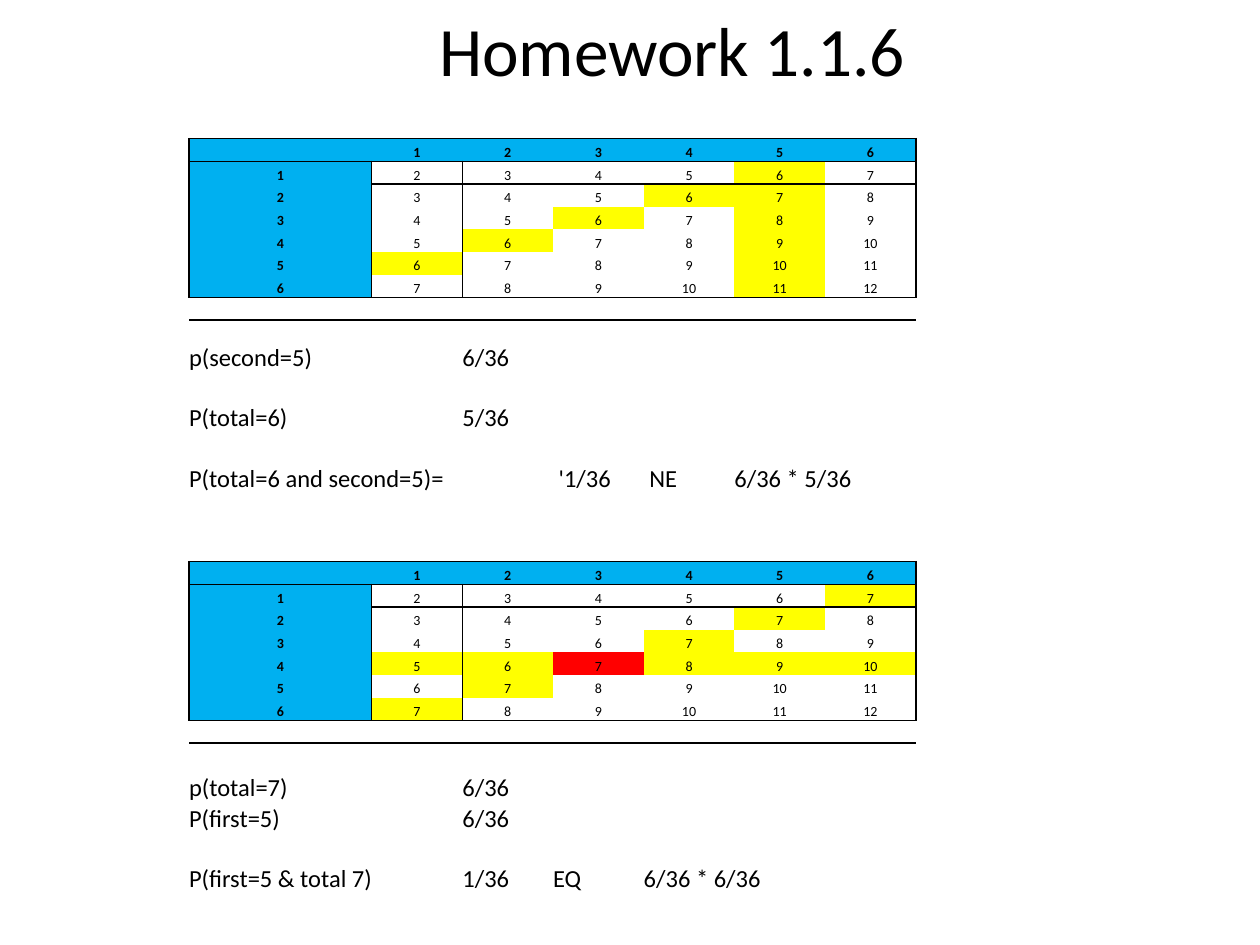
from dataclasses import dataclass
from typing import Optional

from lxml import etree
from pptx import Presentation
from pptx.dml.color import RGBColor
from pptx.enum.text import MSO_ANCHOR, PP_ALIGN
from pptx.oxml.ns import qn
from pptx.table import Table, _Cell
from pptx.util import Inches, Pt

CENTER, LEFT = PP_ALIGN.CENTER, PP_ALIGN.LEFT
MIDDLE, BOTTOM = MSO_ANCHOR.MIDDLE, MSO_ANCHOR.BOTTOM
COLORS = {"ink": "000000", "header": "00B0F0", "plain": "FFFFFF",
          "event": "FFFF00", "both": "FF0000"}
FONT = "Calibri"
NO_GRID_STYLE = "{2D5ABB26-0587-4C30-8999-92F81FD0307C}"
ROW_COUNT, FACES = 31, 6
COLUMN_WIDTHS = [1.45] + [0.72] * FACES
GRID_ROW, ANSWER_ROW = 0.18, 0.24


@dataclass
class DiceGrid:
    header_row: int
    total: int
    overlap: str
    first: Optional[int] = None
    second: Optional[int] = None

    def fill(self, first: int, second: int) -> str:
        if first == 0 or second == 0:
            return "header"
        hits_total = first + second == self.total
        hits_die = first == self.first or second == self.second
        if hits_total and hits_die:
            return self.overlap
        return "event" if hits_total or hits_die else "plain"


@dataclass
class Answer:
    row: int
    column: int
    text: str
    span: int = 1


DICE_GRIDS = [
    DiceGrid(1, total=6, overlap="event", second=5),
    DiceGrid(18, total=7, overlap="both", first=4),
]
ANSWERS = [
    Answer(10, 0, "p(second=5)", 2),
    Answer(10, 2, "6/36"),
    Answer(12, 0, "P(total=6)", 2),
    Answer(12, 2, "5/36"),
    Answer(14, 0, "P(total=6 and second=5)=", 3),
    Answer(14, 3, " '1/36 "),
    Answer(14, 4, " NE"),
    Answer(14, 5, "6/36 * 5/36", 2),
    Answer(27, 0, "p(total=7)", 2),
    Answer(27, 2, "6/36"),
    Answer(28, 0, "P(first=5)"),
    Answer(28, 2, "6/36"),
    Answer(30, 0, "P(first=5 & total 7)", 2),
    Answer(30, 2, "1/36"),
    Answer(30, 3, "EQ"),
    Answer(30, 4, "6/36 * 6/36", 2),
]
ANSWER_ROWS = {*range(10, 15), *range(26, 31)}


def rgb(name: str) -> RGBColor:
    return RGBColor.from_string(COLORS[name])


def write(cell: _Cell, text: str, size: float, align: PP_ALIGN, bold: bool = False) -> None:
    cell.text = text
    cell.vertical_anchor = BOTTOM
    cell.margin_left = cell.margin_right = cell.margin_top = cell.margin_bottom = 0
    paragraph = cell.text_frame.paragraphs[0]
    paragraph.alignment = align
    font = paragraph.font
    font.name, font.size, font.bold = FONT, Pt(size), bold
    font.color.rgb = rgb("ink")


def add_borders(cell: _Cell, sides: str) -> None:
    properties = cell._tc.get_or_add_tcPr()
    for position, side in enumerate(sides):
        line = etree.Element(qn(f"a:ln{side}"), w=str(Pt(1)))
        fill = etree.SubElement(line, qn("a:solidFill"))
        etree.SubElement(fill, qn("a:srgbClr"), val=COLORS["ink"])
        properties.insert(position, line)


def border_sides(first: int, second: int) -> str:
    inside, body = 0 <= first <= FACES, 1 <= first <= FACES
    edges = {
        "L": (inside and second == 0) or (body and second == 1),
        "R": (inside and second == FACES) or (body and second == 0),
        "T": first in (0, FACES + 1) or (first == 1 and second > 0),
        "B": first in (-1, FACES) or (first == 0 and second > 0),
    }
    return "".join(side for side, drawn in edges.items() if drawn)


def draw_dice_grid(table: Table, grid: DiceGrid) -> None:
    for first in range(-1, FACES + 2):
        for second in range(FACES + 1):
            cell = table.cell(grid.header_row + first, second)
            add_borders(cell, border_sides(first, second))
            if not 0 <= first <= FACES:
                continue
            cell.fill.solid()
            cell.fill.fore_color.rgb = rgb(grid.fill(first, second))
            if first + second:
                write(cell, str(first + second), 8, CENTER, first == 0 or second == 0)


def draw_answer(table: Table, answer: Answer) -> None:
    cell = table.cell(answer.row, answer.column)
    if answer.span > 1:
        cell.merge(table.cell(answer.row, answer.column + answer.span - 1))
    write(cell, answer.text, 14, LEFT)


presentation = Presentation()
presentation.slide_width, presentation.slide_height = Inches(10), Inches(7.5)
slide = presentation.slides.add_slide(presentation.slide_layouts[5])

title = slide.shapes.title
title.left, title.top = Inches(0.67), Inches(0)
title.width, title.height = Inches(9.33), Inches(0.78)
title.text_frame.text = "Homework 1.1.6"
title.text_frame.vertical_anchor = MIDDLE
heading = title.text_frame.paragraphs[0]
heading.alignment = CENTER
heading.font.name, heading.font.size = FONT, Pt(39.6)
heading.font.color.rgb = rgb("ink")

worksheet = slide.shapes.add_table(
    ROW_COUNT, len(COLUMN_WIDTHS), Inches(1.5), Inches(0.92), Inches(5.75), Inches(6.13)
).table
worksheet.first_row = worksheet.horz_banding = False
worksheet._tbl.tblPr.find(qn("a:tableStyleId")).text = NO_GRID_STYLE
for column, width in zip(worksheet.columns, COLUMN_WIDTHS):
    column.width = Inches(width)
for index, row in enumerate(worksheet.rows):
    row.height = Inches(ANSWER_ROW if index in ANSWER_ROWS else GRID_ROW)
    for cell in row.cells:
        write(cell, "", 8, LEFT)
        cell.fill.background()
for dice_grid in DICE_GRIDS:
    draw_dice_grid(worksheet, dice_grid)
for answer in ANSWERS:
    draw_answer(worksheet, answer)

presentation.save("out.pptx")
